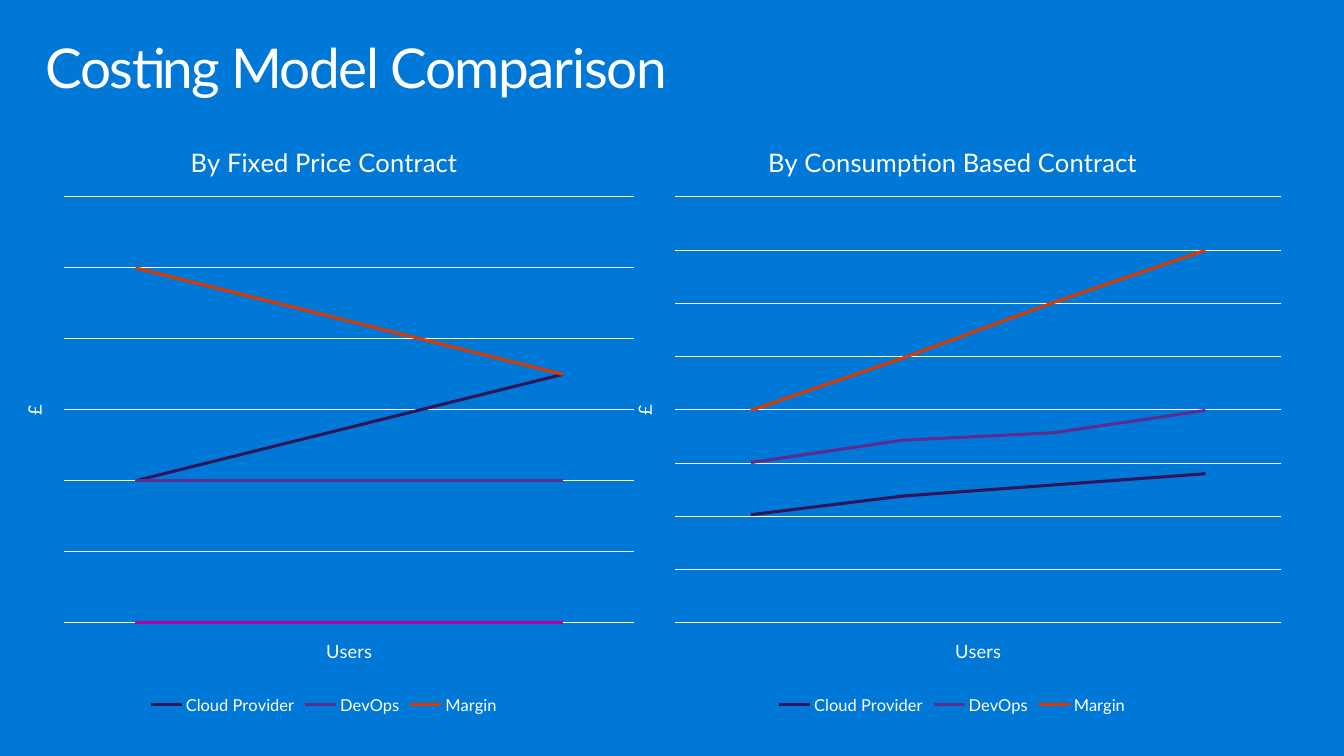
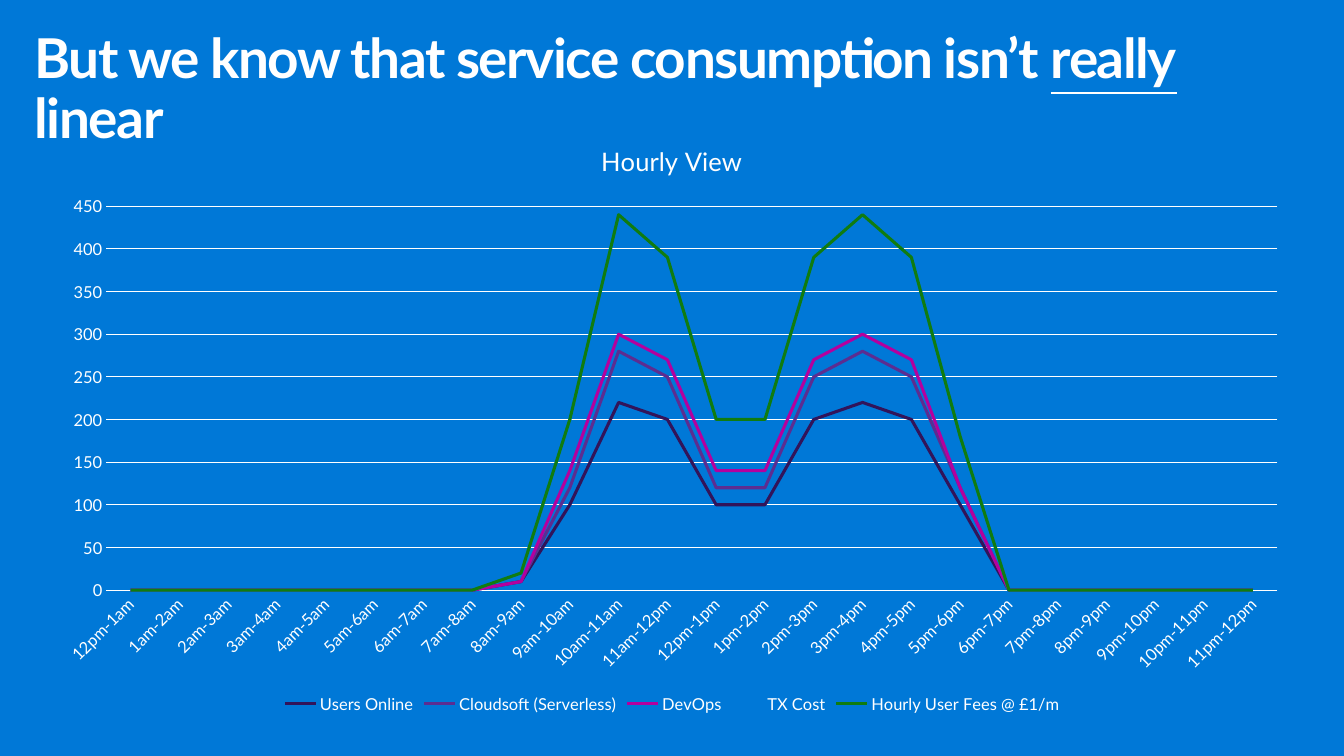
from dataclasses import dataclass

from lxml import etree
from pptx import Presentation
from pptx.chart.data import CategoryChartData
from pptx.dml.color import RGBColor
from pptx.enum.chart import XL_CHART_TYPE, XL_LEGEND_POSITION, XL_TICK_MARK
from pptx.enum.text import MSO_ANCHOR, MSO_AUTO_SIZE, PP_ALIGN
from pptx.oxml.ns import qn
from pptx.util import Cm, Pt

LINE = XL_CHART_TYPE.LINE
LINE_STACKED = XL_CHART_TYPE.LINE_STACKED
LEGEND_BOTTOM = XL_LEGEND_POSITION.BOTTOM
NO_TICK = XL_TICK_MARK.NONE
TITLE_ONLY = 5


@dataclass(frozen=True)
class Theme:
    font: str = "Lato"
    background: RGBColor = RGBColor(0x00, 0x78, 0xD7)
    text: RGBColor = RGBColor(0xFF, 0xFF, 0xFF)
    navy: RGBColor = RGBColor(0x32, 0x14, 0x5A)
    purple: RGBColor = RGBColor(0x5C, 0x2D, 0x91)
    magenta: RGBColor = RGBColor(0xB4, 0x00, 0x9E)
    orange: RGBColor = RGBColor(0xD8, 0x3B, 0x01)
    green: RGBColor = RGBColor(0x10, 0x7C, 0x10)
    title_size: float = 40
    title_spacing: int = -103
    chart_title_size: float = 18.6
    axis_title_size: float = 13.3
    label_size: float = 12
    chart_size: float = 10
    grid_width: float = 0.75
    series_width: float = 2.25


THEME = Theme()


def add_child(parent, tag, **attributes):
    return etree.SubElement(parent, qn(tag), attributes)


def place_by_hand(element, index, chart_box, place):
    """Fix a chart part at left, top and maybe width, height on the slide."""
    old_layout = element.find(qn("c:layout"))
    if old_layout is not None:
        element.remove(old_layout)
    layout = etree.Element(qn("c:layout"))
    manual = add_child(layout, "c:manualLayout")
    if len(place) == 4:
        add_child(manual, "c:layoutTarget", val="inner")
    for side in "xy":
        add_child(manual, f"c:{side}Mode", val="edge")
    left, top, width, height = chart_box
    origin = (left, top, 0, 0)
    extent = (width, height, width, height)
    for name, value, start, size in zip("xywh", place, origin, extent):
        add_child(manual, f"c:{name}", val=str((value - start) / size))
    element.insert(index, layout)


def rotate_text(element, degrees):
    for body in element.iter(qn("a:bodyPr")):
        body.set("rot", str(degrees * 60000))
        body.set("vert", "horz")


class Deck:
    def __init__(self, theme):
        self.theme = theme
        self.presentation = Presentation()
        self.presentation.slide_width = Cm(34.54)
        self.presentation.slide_height = Cm(19.43)
        fill = self.presentation.slide_master.background.fill
        fill.solid()
        fill.fore_color.rgb = theme.background
        self.slide = None

    def format_font(self, font, size, bold=False):
        font.name = self.theme.font
        font.size = Pt(size)
        font.bold = bold
        font.color.rgb = self.theme.text

    def add_slide(self, title_runs, box, bold=False):
        """Start a slide; title_runs holds (text, underlined) pairs."""
        layout = self.presentation.slide_layouts[TITLE_ONLY]
        self.slide = self.presentation.slides.add_slide(layout)
        title = self.slide.shapes.title
        title.left, title.top, title.width, title.height = map(Cm, box)
        frame = title.text_frame
        frame.word_wrap = True
        frame.auto_size = MSO_AUTO_SIZE.NONE
        frame.vertical_anchor = MSO_ANCHOR.TOP
        frame.margin_left = frame.margin_right = Cm(0.41)
        frame.margin_top = frame.margin_bottom = Cm(0.25)
        paragraph = frame.paragraphs[0]
        paragraph.alignment = PP_ALIGN.LEFT
        paragraph.line_spacing = 0.9
        for text, underlined in title_runs:
            run = paragraph.add_run()
            run.text = text
            self.format_font(run.font, self.theme.title_size, bold)
            run.font.underline = underlined
            run.font._element.set("spc", str(self.theme.title_spacing))

    def add_line_chart(self, title, categories, series, box, plot, title_at,
                       scale, kind=LINE):
        """Series holds (name, colour, values); scale is (maximum, step)."""
        data = CategoryChartData()
        data.categories = categories
        for name, _, values in series:
            data.add_series(name, values)
        chart = self.slide.shapes.add_chart(kind, *map(Cm, box), data).chart
        self.format_font(chart.font, self.theme.chart_size)

        # Heading and plot area
        chart.has_title = True
        self.set_text(chart.chart_title, title, self.theme.chart_title_size)
        place_by_hand(chart.chart_title._element, 1, box, title_at)
        plot_area = chart._chartSpace.find(".//" + qn("c:plotArea"))
        place_by_hand(plot_area, 0, box, plot)

        # Series, with missing values drawn as zero
        chart._chartSpace.find(".//" + qn("c:dispBlanksAs")).set("val", "zero")
        chart.plots[0].vary_by_categories = False
        for line, (_, colour, _) in zip(chart.plots[0].series, series):
            line.smooth = False
            line.format.line.color.rgb = colour
            line.format.line.width = Pt(self.theme.series_width)

        # Scale and grid
        axis = chart.value_axis
        axis.minimum_scale = 0
        axis.maximum_scale, axis.major_unit = scale
        axis.has_major_gridlines = True
        self.format_line(axis.major_gridlines.format.line)

        # Legend
        chart.has_legend = True
        chart.legend.position = LEGEND_BOTTOM
        chart.legend.include_in_layout = False
        self.format_font(chart.legend.font, self.theme.label_size)
        return chart

    def set_text(self, chart_title, text, size):
        frame = chart_title.text_frame
        frame.text = text
        self.format_font(frame.paragraphs[0].runs[0].font, size)

    def format_line(self, line):
        line.color.rgb = self.theme.text
        line.width = Pt(self.theme.grid_width)

    def name_hidden_axes(self, chart, category_title, value_title):
        for axis, text in ((chart.category_axis, category_title),
                           (chart.value_axis, value_title)):
            axis.visible = False
            axis.has_title = True
            self.set_text(axis.axis_title, text, self.theme.axis_title_size)
        rotate_text(chart.value_axis.axis_title._element, -90)

    def show_axes(self, chart, label_angle):
        for axis in (chart.category_axis, chart.value_axis):
            axis.major_tick_mark = axis.minor_tick_mark = NO_TICK
            self.format_font(axis.tick_labels.font, self.theme.label_size)
        self.format_line(chart.category_axis.format.line)
        chart.value_axis.format.line.fill.background()
        labels = chart.category_axis._element.find(qn("c:txPr"))
        rotate_text(labels, label_angle)

    def hide_legend_entry(self, chart, index):
        entry = etree.Element(qn("c:legendEntry"))
        add_child(entry, "c:idx", val=str(index))
        add_child(entry, "c:delete", val="1")
        chart.legend._element.find(qn("c:legendPos")).addnext(entry)


def build_cost_models(deck):
    theme = deck.theme
    deck.add_slide([("Costing Model Comparison", False)],
                   (0.76, 0.81, 21.11, 2.54))
    periods = ["1", "2", "3", "4"]
    consumption = deck.add_line_chart(
        "By Consumption Based Contract", periods,
        [("Cloud Provider", theme.navy, (29, 34, 37, 40)),
         ("DevOps", theme.purple, (43, 49, 51, 57)),
         ("Margin", theme.orange, (57, 71, 86, 100))],
        box=(15.67, 3.12, 17.6, 15.34), plot=(17.35, 5.06, 15.58, 10.95),
        title_at=(19.62, 3.58), scale=(114.32, 14.29))
    fixed_price = deck.add_line_chart(
        "By Fixed Price Contract", periods,
        [("Cloud Provider", theme.navy, (40, 50, 60, 70)),
         ("DevOps", theme.purple, (40, 40, 40, 40)),
         ("Series 3", theme.magenta, (0,)),
         ("Margin", theme.orange, (100, 90, 80, 70))],
        box=(0, 3.12, 16.64, 15.34), plot=(1.65, 5.06, 14.65, 10.95),
        title_at=(4.78, 3.58), scale=(120, 20))
    deck.hide_legend_entry(fixed_price, 2)
    for chart in (consumption, fixed_price):
        deck.name_hidden_axes(chart, "Users", "£")


def build_hourly_view(deck):
    theme = deck.theme
    deck.add_slide([("But we know that service consumption isn’t ", False),
                    ("really", True), (" linear", False)],
                   (0.48, 0.56, 33.71, 2.54), bold=True)

    # Hours run from 12pm-1am to 11pm-12pm
    clock = [12, *range(1, 12)]
    starts = [f"{hour}{half}" for half in ("am", "pm") for hour in clock]
    starts[0] = "12pm"
    hours = [f"{start}-{end}"
             for start, end in zip(starts, starts[1:] + ["12pm"])]

    # Values are rounded to tens; night and evening hours are idle
    night, evening = [0] * 8, [0] * 6
    users = [10, 100, 220, 200, 100, 100, 200, 220, 200, 100]
    serverless = [0, 20, 60, 50, 20, 20, 50, 60, 50, 20]
    devops = [0] + [20] * 8 + [0]
    transactions = [10, 60, 140, 120, 60, 60, 120, 140, 120, 60]
    fees = [0] * 10
    daytime = [("Users Online", theme.navy, users),
               ("Cloudsoft (Serverless)", theme.purple, serverless),
               ("DevOps", theme.magenta, devops),
               ("TX Cost", theme.background, transactions),
               ("Hourly User Fees @ £1/m", theme.green, fees)]
    chart = deck.add_line_chart(
        "Hourly View", hours,
        [(name, colour, night + values + evening)
         for name, colour, values in daytime],
        box=(1.07, 3.1, 32.41, 15.34), plot=(2.73, 5.3, 30.1, 9.87),
        title_at=(15.33, 3.56), scale=(450, 50), kind=LINE_STACKED)
    deck.show_axes(chart, label_angle=-45)


def main():
    deck = Deck(THEME)
    build_cost_models(deck)
    build_hourly_view(deck)
    deck.presentation.save("out.pptx")


if __name__ == "__main__":
    main()
